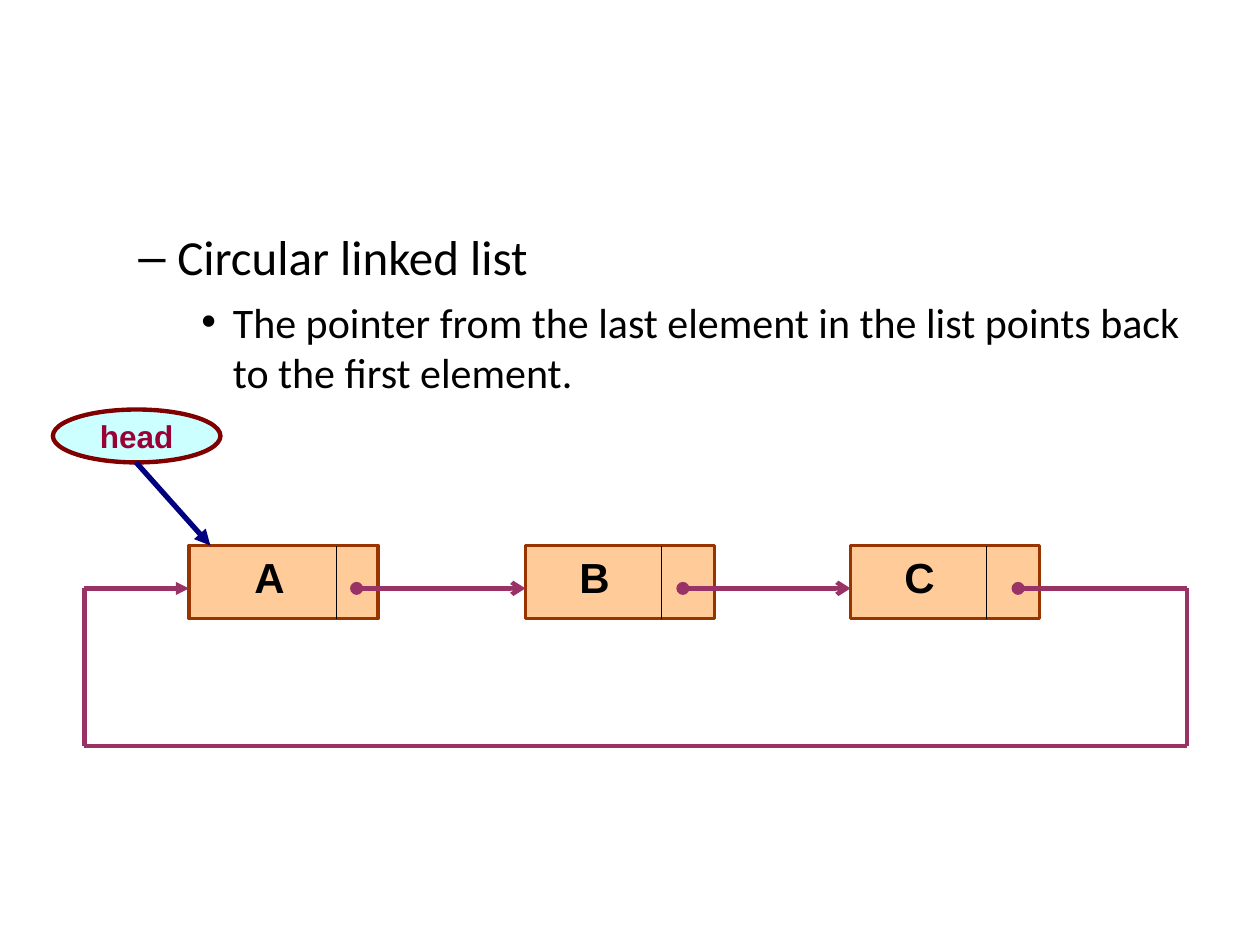
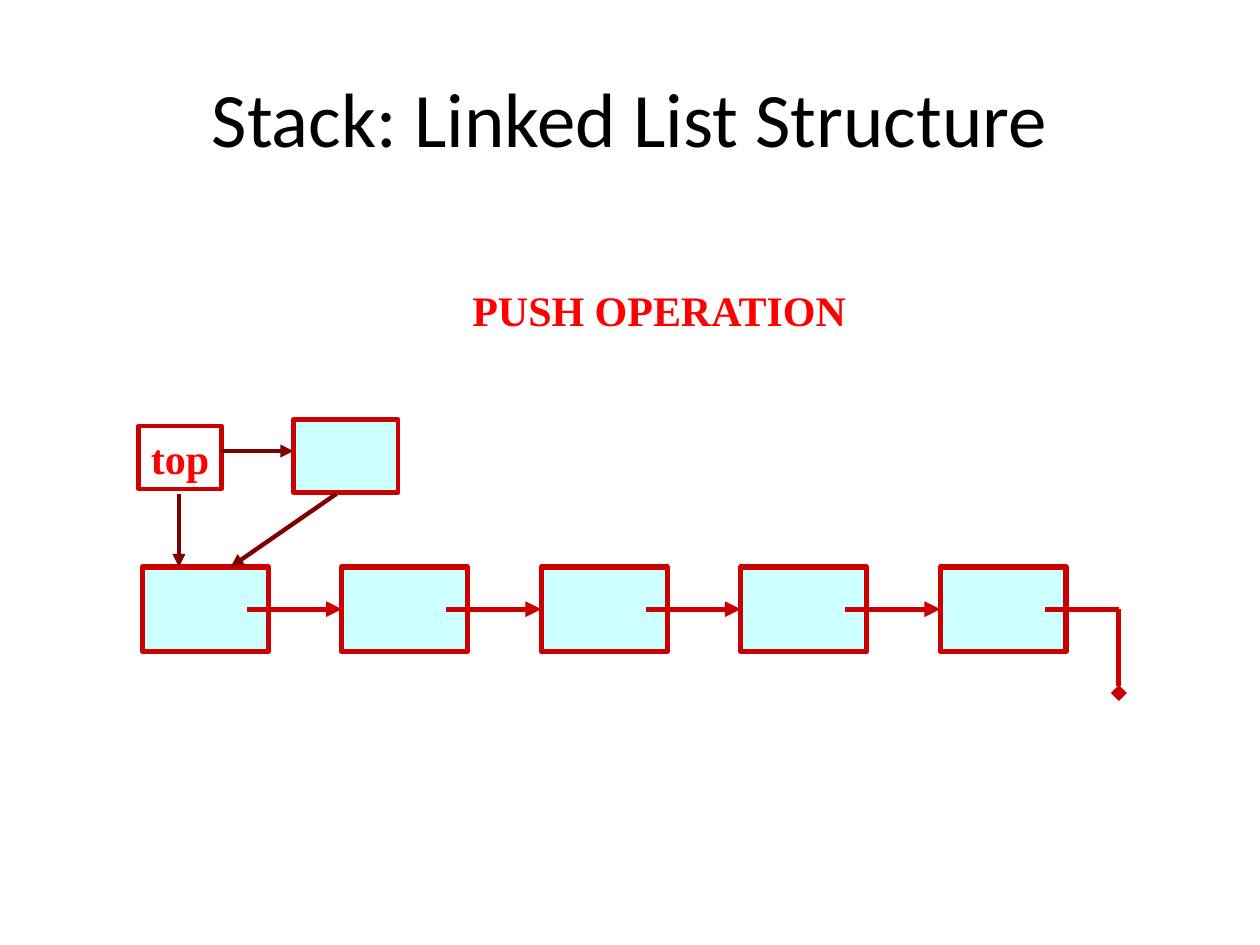
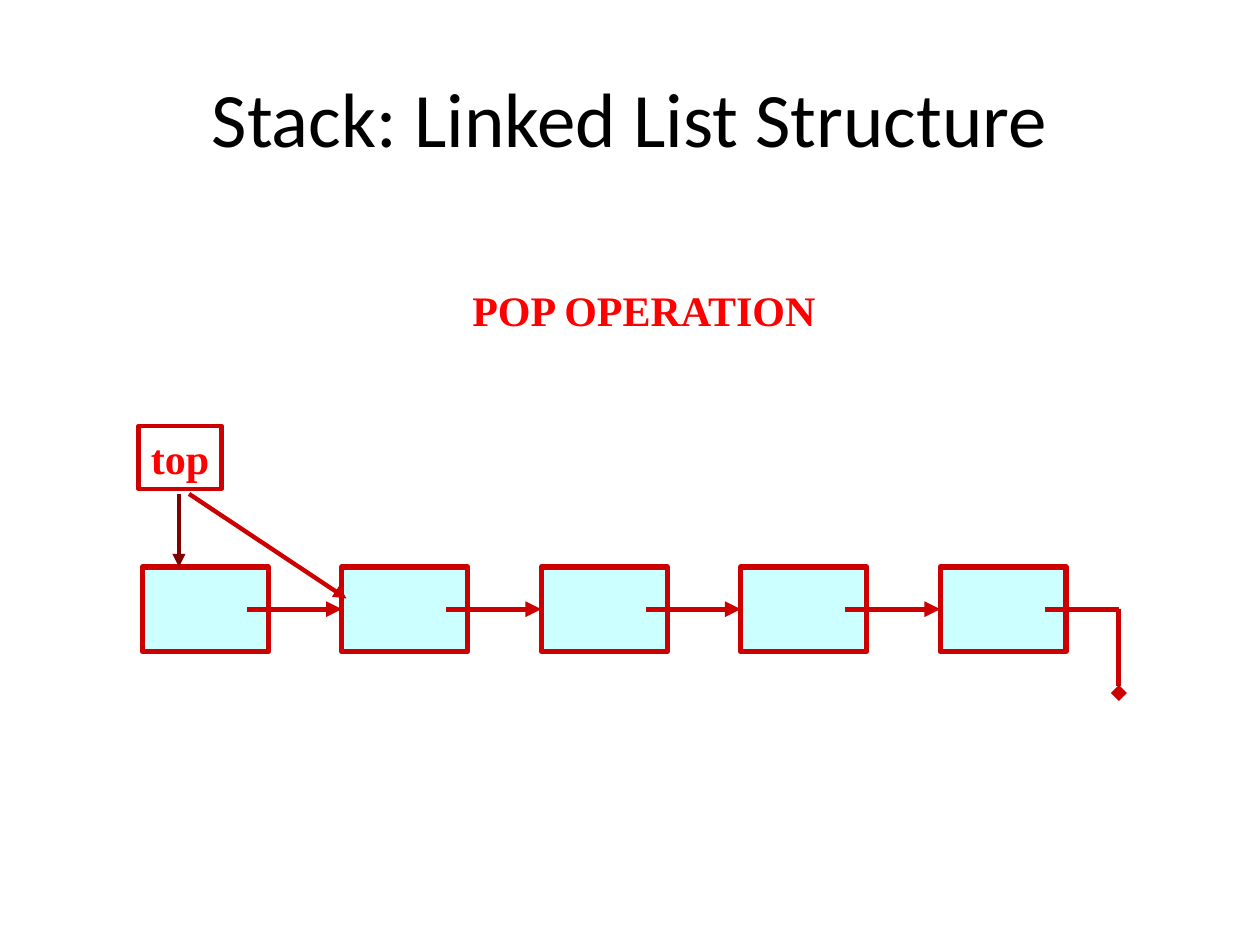
from dataclasses import dataclass

from lxml.etree import SubElement
from pptx import Presentation
from pptx.dml.color import RGBColor
from pptx.enum.shapes import MSO_CONNECTOR, MSO_SHAPE
from pptx.enum.text import MSO_ANCHOR, MSO_AUTO_SIZE, PP_ALIGN
from pptx.oxml.ns import qn
from pptx.util import Inches, Pt


@dataclass(frozen=True)
class Theme:
    black: str = "000000"
    peach: str = "FFCC99"
    brown: str = "993300"
    plum: str = "993366"
    wine: str = "990033"
    navy: str = "000080"
    maroon: str = "800000"
    cyan: str = "CCFFFF"
    crimson: str = "CC0000"
    red: str = "FF0000"
    body_font: str = "Calibri"
    node_font: str = "Arial"
    stack_font: str = "Times New Roman"
    title_size: int = 44
    topic_size: int = 28
    label_size: int = 24
    head_size: int = 18
    hairline: float = 0.75
    thin: float = 2
    medium: float = 2.5
    thick: float = 3


THEME = Theme()
TITLE_BOX = (0.5, 0.3, 9, 1.25)


def style_runs(paragraph, font, size, color, bold=False):
    for run in paragraph.runs:
        run.font.name = font
        run.font.size = Pt(size)
        run.font.bold = bold
        run.font.color.rgb = RGBColor.from_string(color)


def add_label(slide, box, text, font, size, color, bold=True):
    """Text that stays on one line in a box sized to it."""
    label = slide.shapes.add_textbox(*map(Inches, box))
    label.text_frame.text = text
    label.text_frame.word_wrap = False
    label.text_frame.auto_size = MSO_AUTO_SIZE.SHAPE_TO_FIT_TEXT
    style_runs(label.text_frame.paragraphs[0], font, size, color, bold)
    return label


def outline(shape, color, width):
    shape.line.color.rgb = RGBColor.from_string(color)
    shape.line.width = Pt(width)


def add_node(slide, box, fill, line, width, kind=MSO_SHAPE.RECTANGLE):
    node = slide.shapes.add_shape(kind, *map(Inches, box))
    node.shadow.inherit = False
    node.fill.solid()
    node.fill.fore_color.rgb = RGBColor.from_string(fill)
    outline(node, line, width)
    return node


def add_line(slide, start, end, color, width, head=None, tail=None):
    line = slide.shapes.add_connector(
        MSO_CONNECTOR.STRAIGHT, *map(Inches, (*start, *end)))
    outline(line, color, width)
    stroke = line.line._get_or_add_ln()
    for tag, kind in (("a:headEnd", head), ("a:tailEnd", tail)):
        if kind:
            SubElement(stroke, qn(tag), type=kind)
    SubElement(line._element.spPr, qn("a:effectLst"))
    return line


def add_title(slide, box, text):
    title = slide.shapes.add_textbox(*map(Inches, box))
    frame = title.text_frame
    frame.text = text
    frame.word_wrap = True
    frame.vertical_anchor = MSO_ANCHOR.MIDDLE
    frame.paragraphs[0].alignment = PP_ALIGN.CENTER
    style_runs(frame.paragraphs[0], THEME.body_font, THEME.title_size, THEME.black)


def add_outline_text(slide, box):
    """Topic and its explanation as bulleted levels."""
    levels = [
        ("Circular linked list", "–", 0.81, -0.31, 7, THEME.topic_size),
        ("The pointer from the last element in the list points back "
         "to the first element.", "•", 1.25, -0.25, 6, THEME.label_size),
    ]
    frame = slide.shapes.add_textbox(*map(Inches, box)).text_frame
    frame.word_wrap = True
    frame.text = "\n".join(level[0] for level in levels)
    for depth, (paragraph, level) in enumerate(zip(frame.paragraphs, levels), 1):
        _, bullet, margin, indent, gap, size = level
        paragraph.level = depth
        paragraph.space_before = Pt(gap)
        style_runs(paragraph, THEME.body_font, size, THEME.black)
        properties = paragraph._p.get_or_add_pPr()
        properties.set("marL", str(Inches(margin)))
        properties.set("indent", str(Inches(indent)))
        SubElement(properties, qn("a:buFont"), typeface="Arial")
        SubElement(properties, qn("a:buChar"), char=bullet)


def add_circular_list(slide, left, top):
    """Three nodes whose last pointer loops back to the first."""
    def at(x, y):
        return left + x, top + y

    width, height, pointer_y, loop_y = 1.5, 0.58, 0.34, 1.59
    loop_left, loop_right = -0.83, 7.92
    node_lefts = (0, 2.67, 5.25)
    pointer_starts = (1.33, 3.92, 6.58)
    divider_start, divider_step = 1.17, 2.58

    # Nodes with their dividers and letters
    for index, (node_left, letter) in enumerate(zip(node_lefts, "ABC")):
        divider = divider_start + index * divider_step
        add_node(slide, (*at(node_left, 0), width, height),
                 THEME.peach, THEME.brown, THEME.thin)
        add_line(slide, at(divider, 0), at(divider, height),
                 THEME.black, THEME.hairline)
        add_label(slide, (*at(divider - 0.75, 0), 0.67, 0.5), letter,
                  THEME.node_font, THEME.label_size, THEME.black)

    # Pointers to the next node
    pointer_ends = (*node_lefts[1:], loop_right)
    for start, end, tip in zip(pointer_starts, pointer_ends, ("arrow", "arrow", None)):
        add_line(slide, at(start, pointer_y), at(end, pointer_y),
                 THEME.plum, THEME.medium, "oval", tip)

    # Way back to the first node
    corners = [(loop_right, pointer_y), (loop_right, loop_y),
               (loop_left, loop_y), (loop_left, pointer_y), (0, pointer_y)]
    for start, end in zip(corners, corners[1:]):
        add_line(slide, at(*start), at(*end), THEME.plum, THEME.medium,
                 tail="triangle" if end == corners[-1] else None)

    # Head pointer
    head = add_node(slide, (*at(-1.08, -1.08), 1.33, 0.42), THEME.cyan,
                    THEME.maroon, THEME.medium, MSO_SHAPE.OVAL)
    head.text_frame.text = "head"
    head.text_frame.word_wrap = False
    head.text_frame.vertical_anchor = MSO_ANCHOR.MIDDLE
    head.text_frame.paragraphs[0].alignment = PP_ALIGN.CENTER
    style_runs(head.text_frame.paragraphs[0], THEME.node_font,
               THEME.head_size, THEME.wine, True)
    add_line(slide, at(-0.42, -0.66), at(0.17, 0),
             THEME.navy, THEME.thick, tail="triangle")


def add_stack_chain(slide, left, top):
    """Five linked nodes ending in a grounded pointer."""
    count, step, width, height = 5, 1.583, 1, 0.67
    middle, ground_x = top + height / 2, left + 7.75
    nodes = [add_node(slide, (left + i * step, top, width, height),
                      THEME.cyan, THEME.crimson, THEME.thick)
             for i in range(count)]
    for i, following in enumerate(nodes[1:]):
        pointer = add_line(slide, (left + i * step + 0.83, middle),
                           (left + (i + 1) * step, middle),
                           THEME.crimson, THEME.thick, tail="triangle")
        pointer.end_connect(following, 1)

    # Grounded end
    last_start = left + (count - 1) * step + 0.83
    add_line(slide, (last_start, middle), (ground_x, middle),
             THEME.crimson, THEME.thick)
    add_line(slide, (ground_x, middle), (ground_x, top + 1),
             THEME.crimson, THEME.thick, tail="diamond")


def add_top_pointer(slide, left, top):
    top_box = add_label(slide, (left, top, 0.66, 0.5), "top",
                        THEME.stack_font, THEME.label_size, THEME.red)
    outline(top_box, THEME.crimson, THEME.medium)
    add_line(slide, (left + 0.32, top + 0.54), (left + 0.32, top + 1.12),
             THEME.maroon, THEME.medium, tail="triangle")


def add_pushed_node(slide, left, top):
    """New node between the top pointer and the chain."""
    add_node(slide, (left, top, 0.83, 0.58),
             THEME.cyan, THEME.crimson, THEME.medium)
    for start, end in (((-0.58, 0.25), (0, 0.25)), ((0.34, 0.59), (-0.5, 1.17))):
        add_line(slide, (left + start[0], top + start[1]),
                 (left + end[0], top + end[1]),
                 THEME.maroon, THEME.medium, tail="triangle")


def add_popped_pointer(slide, left, top):
    """Top pointer moved on to the second node."""
    add_line(slide, (left, top), (left + 1.25, top + 0.83),
             THEME.crimson, THEME.medium, tail="triangle")


def build_circular_slide(slide):
    add_outline_text(slide, (0.5, 1.75, 9, 4.95))
    add_circular_list(slide, 1.5, 4.33)


def build_stack_slide(slide, operation, caption_width):
    add_title(slide, TITLE_BOX, "Stack: Linked List Structure")
    add_stack_chain(slide, 1.13, 4.5)
    add_top_pointer(slide, 1.1, 3.38)
    add_label(slide, (3.65, 2.21, caption_width, 0.5), operation,
              THEME.stack_font, THEME.label_size, THEME.red)


def main():
    deck = Presentation()
    deck.slide_width, deck.slide_height = Inches(10), Inches(7.5)
    circular, push, pop = (
        deck.slides.add_slide(deck.slide_layouts[6]) for _ in range(3))

    build_circular_slide(circular)

    build_stack_slide(push, "PUSH OPERATION", 3.19)
    add_pushed_node(push, 2.33, 3.33)

    build_stack_slide(pop, "POP OPERATION", 2.97)
    add_popped_pointer(pop, 1.5, 3.92)

    deck.save("out.pptx")


if __name__ == "__main__":
    main()
